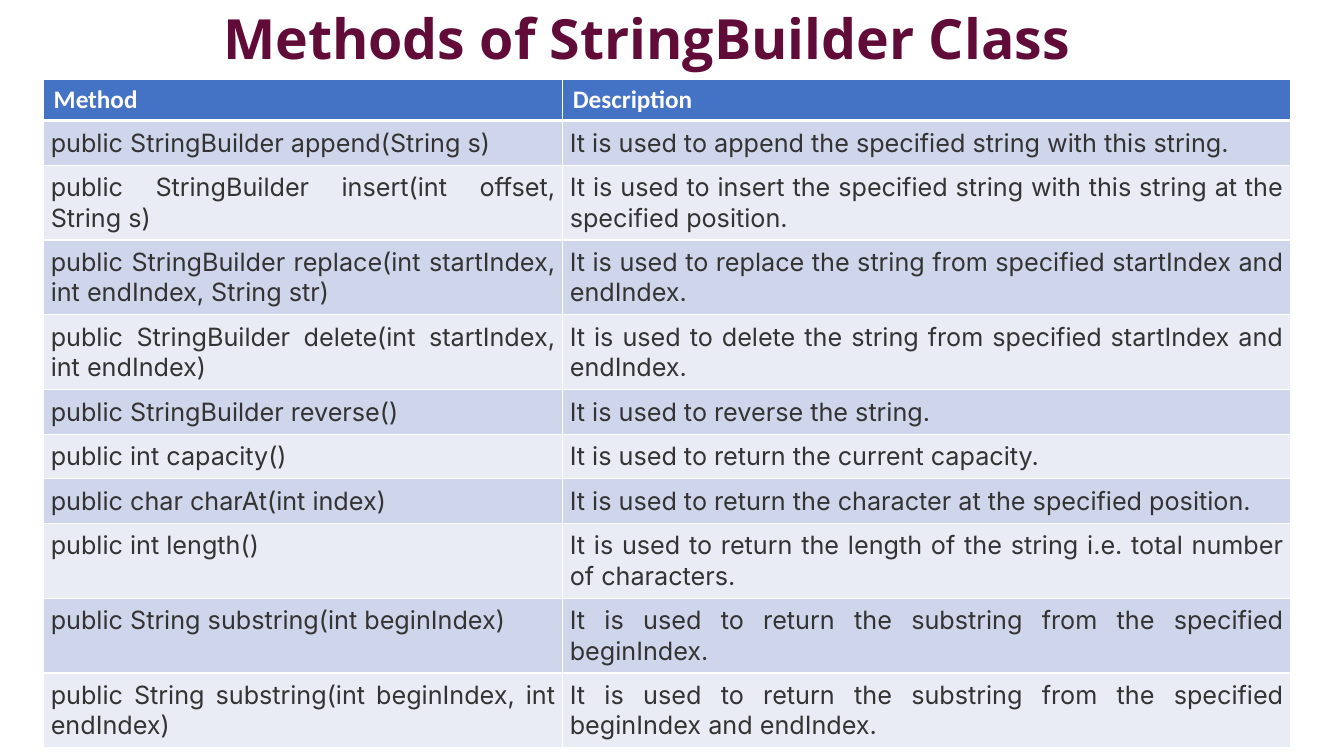
from dataclasses import dataclass

from lxml import etree
from pptx import Presentation
from pptx.dml.color import RGBColor
from pptx.enum.text import MSO_ANCHOR, PP_ALIGN
from pptx.oxml.ns import qn
from pptx.util import Cm, Pt

CENTER, JUSTIFY, LEFT = PP_ALIGN.CENTER, PP_ALIGN.JUSTIFY, PP_ALIGN.LEFT
MIDDLE = MSO_ANCHOR.MIDDLE
BLANK_LAYOUT = 6


@dataclass(frozen=True)
class TextStyle:
    font: str
    size: float
    color: str
    bold: bool = False
    align: int = LEFT


@dataclass(frozen=True)
class Theme:
    title: TextStyle = TextStyle("Open Sans", 39.6, "610B38", True, CENTER)
    header: TextStyle = TextStyle("Calibri", 18, "FFFFFF", True)
    body: TextStyle = TextStyle("Inter", 18, "333333", False, JUSTIFY)
    header_fill: str = "4472C4"
    band_fills: tuple = ("CFD5EA", "E9EBF5")
    border: str = "FFFFFF"
    thin: float = 1
    thick: float = 3


class SlideBuilder:
    def __init__(self, page, theme):
        self.page = page
        self.theme = theme

    def add_text(self, frame, text, style):
        para = frame.paragraphs[0]
        para.alignment = style.align
        span = para.add_run()
        span.text = text
        span.font.name = style.font
        span.font.size = Pt(style.size)
        span.font.bold = style.bold
        span.font.color.rgb = RGBColor.from_string(style.color)
        return para

    def title(self, text, left, top, width, height):
        box = self.page.shapes.add_textbox(Cm(left), Cm(top), Cm(width), Cm(height))
        frame = box.text_frame
        frame.word_wrap = True
        frame.vertical_anchor = MIDDLE
        self.add_text(frame, text, self.theme.title).line_spacing = 0.9

    def borders(self, cell, top, bottom):
        """Cell lines come before the fill in the cell properties."""
        properties = cell._tc.get_or_add_tcPr()
        thin = self.theme.thin
        sides = {"a:lnL": thin, "a:lnR": thin, "a:lnT": top, "a:lnB": bottom}
        for position, (tag, weight) in enumerate(sides.items()):
            line = etree.Element(qn(tag), w=str(Pt(weight)))
            fill = etree.SubElement(line, qn("a:solidFill"))
            etree.SubElement(fill, qn("a:srgbClr"), val=self.theme.border)
            properties.insert(position, line)

    def cell(self, cell, text, row):
        theme = self.theme
        is_header = row == 0
        cell.fill.solid()
        color = theme.header_fill if is_header else theme.band_fills[(row - 1) % 2]
        cell.fill.fore_color.rgb = RGBColor.from_string(color)
        if not is_header:
            cell.margin_left = cell.margin_right = Cm(0.18)
            cell.margin_top = cell.margin_bottom = Cm(0.18)
        self.borders(
            cell,
            top=theme.thick if row == 1 else theme.thin,
            bottom=theme.thick if is_header else theme.thin,
        )
        self.add_text(cell.text_frame, text, theme.header if is_header else theme.body)

    def table(self, rows, left, top, widths, row_height):
        table = self.page.shapes.add_table(
            len(rows), len(widths), Cm(left), Cm(top),
            Cm(sum(widths)), Cm(row_height * len(rows)),
        ).table
        for column, width in zip(table.columns, widths):
            column.width = Cm(width)
        for row, texts in enumerate(rows):
            table.rows[row].height = Cm(row_height)
            for column, text in enumerate(texts):
                self.cell(table.cell(row, column), text, row)


METHODS = [
    ("Method", "Description"),
    ("public StringBuilder append(String s)",
     "It is used to append the specified string with this string. "),
    ("public StringBuilder insert(int offset, String s)",
     "It is used to insert the specified string with this string at the specified position. "),
    ("public StringBuilder replace(int startIndex, int endIndex, String str)",
     "It is used to replace the string from specified startIndex and endIndex."),
    ("public StringBuilder delete(int startIndex, int endIndex)",
     "It is used to delete the string from specified startIndex and endIndex."),
    ("public StringBuilder reverse()", "It is used to reverse the string."),
    ("public int capacity()", "It is used to return the current capacity."),
    ("public char charAt(int index)",
     "It is used to return the character at the specified position."),
    ("public int length()",
     "It is used to return the length of the string i.e. total number of characters."),
    ("public String substring(int beginIndex)",
     "It is used to return the substring from the specified beginIndex."),
    ("public String substring(int beginIndex, int endIndex)",
     "It is used to return the substring from the specified beginIndex and endIndex."),
]


def main():
    deck = Presentation()
    deck.slide_width, deck.slide_height = Cm(33.87), Cm(19.05)
    page = deck.slides.add_slide(deck.slide_layouts[BLANK_LAYOUT])
    builder = SlideBuilder(page, Theme())

    # Heading
    builder.title("Methods of StringBuilder Class", 1.1, 0.1, 30.4, 1.88)

    # Method reference
    builder.table(METHODS, left=1.1, top=2.01, widths=(13.08, 18.35), row_height=1.03)

    deck.save("out.pptx")


if __name__ == "__main__":
    main()
